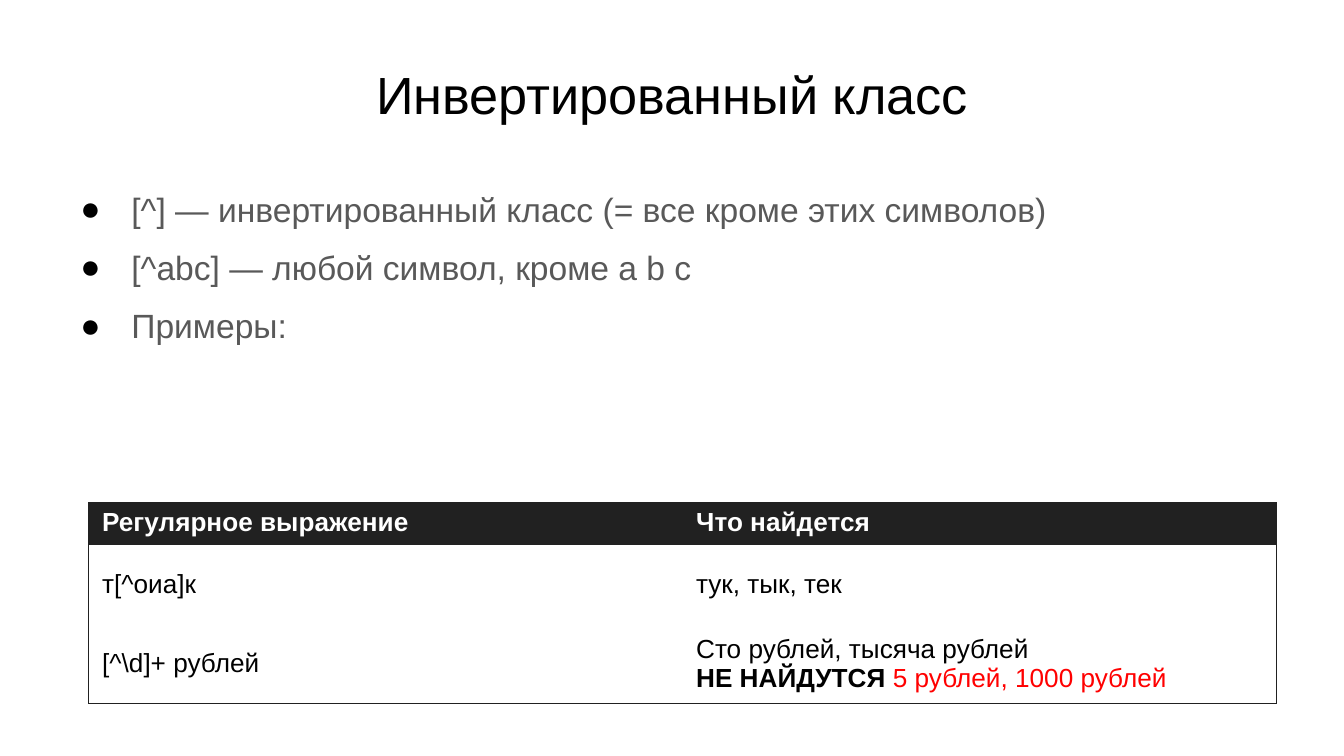
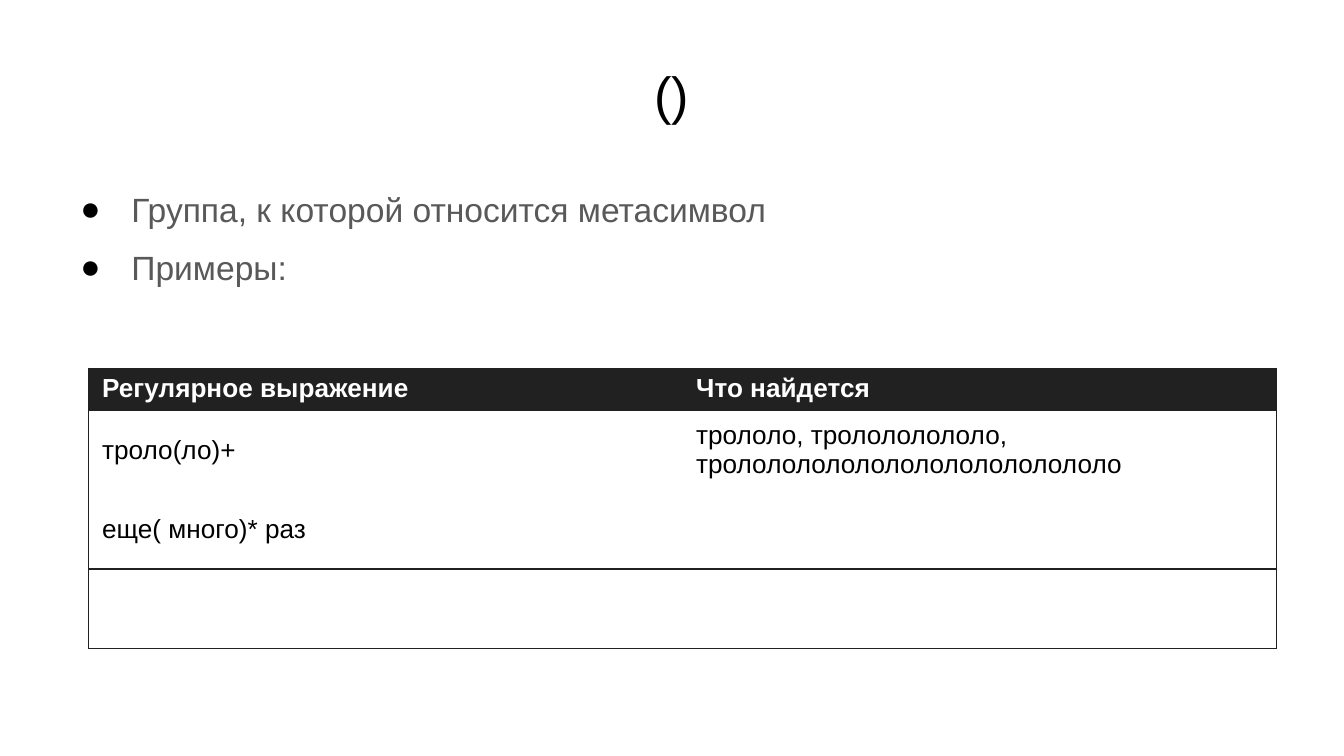
from dataclasses import dataclass

from lxml.etree import SubElement
from pptx import Presentation
from pptx.dml.color import RGBColor
from pptx.enum.text import MSO_ANCHOR, PP_ALIGN
from pptx.oxml.ns import qn
from pptx.util import Inches, Pt


@dataclass(frozen=True)
class Theme:
    font: str = "Arial"
    ink: str = "000000"
    body: str = "595959"
    dark: str = "212121"
    light: str = "FFFFFF"
    alert: str = "FF0000"
    title_size: int = 28
    body_size: int = 18
    table_size: int = 14
    border: float = 0.75


THEME = Theme()
HEADINGS = ("Регулярное выражение", "Что найдется")
BREAK = "\n"


def add_run(paragraph, text, size, color, bold=False):
    run = paragraph.add_run()
    run.text = text
    run.font.name = THEME.font
    run.font.size = Pt(size)
    run.font.bold = bold
    run.font.color.rgb = RGBColor.from_string(color)


def add_text_frame(slide, top, height):
    frame = slide.shapes.add_textbox(Inches(0.5), Inches(top), Inches(9), Inches(height)).text_frame
    frame.word_wrap = True
    return frame


def add_title(slide, text):
    frame = add_text_frame(slide, 0.23, 0.94)
    frame.vertical_anchor = MSO_ANCHOR.MIDDLE
    heading = frame.paragraphs[0]
    heading.alignment = PP_ALIGN.CENTER
    add_run(heading, text, THEME.title_size, THEME.ink)


def add_bullet_mark(paragraph):
    properties = paragraph._p.get_or_add_pPr()
    properties.set("marL", str(Inches(0.38)))
    properties.set("indent", str(Inches(-0.38)))
    color = SubElement(properties, qn("a:buClr"))
    SubElement(color, qn("a:srgbClr"), val=THEME.ink)
    SubElement(properties, qn("a:buFont"), typeface=THEME.font)
    SubElement(properties, qn("a:buChar"), char="●")


def add_bullets(slide, points):
    frame = add_text_frame(slide, 1.31, 3.71)
    for index, point in enumerate(points):
        paragraph = frame.add_paragraph() if index else frame.paragraphs[0]
        add_bullet_mark(paragraph)
        paragraph.line_spacing = 1.15
        if index:
            paragraph.space_before = Pt(6.4)
        add_run(paragraph, point, THEME.body_size, THEME.body)


def set_borders(cell, lined_sides):
    properties = cell._tc.get_or_add_tcPr()
    for side in "LRTB":
        line = SubElement(properties, qn(f"a:ln{side}"), w=str(Pt(THEME.border)))
        if side in lined_sides:
            fill = SubElement(line, qn("a:solidFill"))
            SubElement(fill, qn("a:srgbClr"), val=THEME.dark)
        else:
            SubElement(line, qn("a:noFill"))


def fill_cell(cell, content, is_header):
    cell.margin_left = cell.margin_right = Inches(0.1)
    cell.margin_top = cell.margin_bottom = Inches(0.04 if is_header else 0)
    cell.vertical_anchor = MSO_ANCHOR.TOP if is_header else MSO_ANCHOR.MIDDLE
    if is_header:
        cell.fill.solid()
        cell.fill.fore_color.rgb = RGBColor.from_string(THEME.dark)
    else:
        cell.fill.background()
    paragraph = cell.text_frame.paragraphs[0]
    parts = [(content,)] if isinstance(content, str) else content
    for text, *style in parts:
        if text == BREAK:
            paragraph.add_line_break()
        elif text:
            color = THEME.light if is_header else THEME.ink
            color, bold = style or (color, is_header)
            add_run(paragraph, text, THEME.table_size, color, bold)


def add_examples(slide, top, examples, ruled_rows=()):
    rows = [HEADINGS, *examples]
    heights = [0.31] + [0.59] * len(examples)
    table = slide.shapes.add_table(
        len(rows), len(HEADINGS), Inches(0.66), Inches(top), Inches(8.84), Inches(sum(heights))
    ).table
    table.first_row = table.horz_banding = False
    for column in table.columns:
        column.width = Inches(4.42)
    last = len(rows) - 1
    for index, contents in enumerate(rows):
        table.rows[index].height = Inches(heights[index])
        top_side = "T" if index <= 1 or index - 1 in ruled_rows else ""
        bottom_side = "B" if index in (0, last, *ruled_rows) else ""
        for column, content in enumerate(contents):
            cell = table.cell(index, column)
            set_borders(cell, "LR"[column] + top_side + bottom_side)
            fill_cell(cell, content, index == 0)


def add_topic(deck, title, points):
    slide = deck.slides.add_slide(deck.slide_layouts[6])
    add_title(slide, title)
    add_bullets(slide, points)
    return slide


def main():
    deck = Presentation()
    deck.slide_width = Inches(10)
    deck.slide_height = deck.slide_width * 9 // 16

    inverted = add_topic(deck, "Инвертированный класс", [
        "[^] — инвертированный класс (= все кроме этих символов)",
        "[^abc] — любой символ, кроме а b c",
        "Примеры:",
    ])
    rubles = [
        ("Сто рублей, тысяча рублей ",),
        (BREAK,),
        ("НЕ НАЙДУТСЯ ", THEME.ink, True),
        ("5 рублей, 1000 рублей", THEME.alert, False),
    ]
    add_examples(inverted, 3.74, [
        ("т[^оиа]к", "тук, тык, тек"),
        (r"[^\d]+ рублей", rubles),
    ])

    group = add_topic(deck, "()", ["Группа, к которой относится метасимвол", "Примеры:"])
    add_examples(group, 2.74, [
        ("троло(ло)+", "трололо, тролололололо, тролололололололололололололо"),
        ("еще( много)* раз", ""),
        ("", ""),
    ], ruled_rows=(2,))

    deck.save("out.pptx")


if __name__ == "__main__":
    main()
